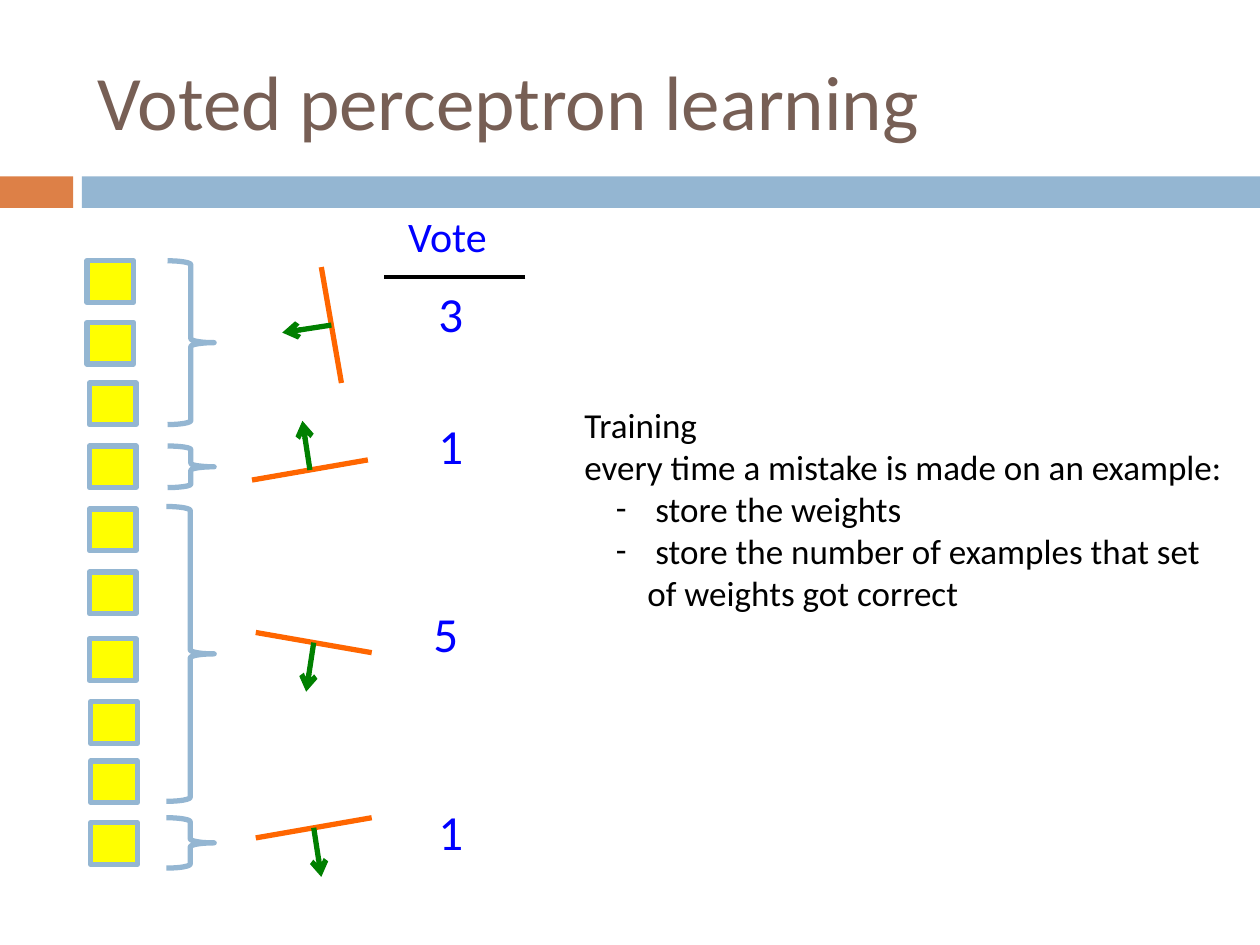
from lxml import etree
from pptx import Presentation
from pptx.dml.color import RGBColor
from pptx.enum.shapes import MSO_CONNECTOR, MSO_SHAPE
from pptx.enum.text import MSO_ANCHOR, PP_ALIGN
from pptx.oxml.ns import qn
from pptx.util import Inches, Pt

RECT, BRACE = MSO_SHAPE.RECTANGLE, MSO_SHAPE.RIGHT_BRACE
LINE = MSO_CONNECTOR.STRAIGHT
LEFT, MIDDLE = PP_ALIGN.LEFT, MSO_ANCHOR.MIDDLE

FONT = "Calibri"
BLUE, ORANGE, BROWN = "94B6D2", "DD8047", "775F55"
YELLOW, PLANE, GREEN = "FFFF00", "FF6600", "008000"
VOTE, BLACK = "0000FF", "000000"

# Content
TITLE = "Voted perceptron learning"
HEAD = "Vote"
NOTES = [
    ("Training", False),
    ("every time a mistake is made on an example:", False),
    (" store the weights", True),
    (" store the number of examples that set of weights got correct", True),
]
BANDS = [(0, 0.58, ORANGE), (0.65, 9.35, BLUE)]  # left, width, colour

# Training examples: left edge and tops of each run of squares
SIZE = (0.37, 0.33)
SQUARES = [
    (0.69, (2.07, 2.56)),
    (0.71, (3.04, 3.54, 4.04, 4.54, 5.07)),
    (0.72, (5.57, 6.04, 6.53)),
]

# Stored weights: brace box, plane ends, arrow tip, vote and its corner
WEIGHTS = [
    ((1.33, 2.07, 0.37, 1.30), (2.71, 3.04, 2.55, 2.12), (2.24, 2.64), "3", (3.38, 2.20)),
    ((1.33, 3.54, 0.37, 0.33), (2.00, 3.81, 2.92, 3.65), (2.40, 3.34), "1", (3.38, 3.25)),
    ((1.32, 4.02, 0.38, 2.34), (2.03, 5.02, 2.95, 5.18), (2.43, 5.49), "5", (3.34, 4.74)),
    ((1.32, 6.49, 0.38, 0.40), (2.95, 6.49, 2.03, 6.65), (2.55, 6.96), "1", (3.38, 6.31)),
]

prs = Presentation()
prs.slide_width, prs.slide_height = Inches(10), Inches(7.5)
slide = prs.slides.add_slide(prs.slide_layouts[5])
shapes = slide.shapes


def rgb(code):
    return RGBColor.from_string(code)


def inch(vals):
    return [Inches(v) for v in vals]


def style(para, size, color):
    for run in para.runs:
        run.font.name, run.font.size = FONT, Pt(size)
        run.font.color.rgb = rgb(color)


def block(kind, box, fill=None, line=None):
    shape = shapes.add_shape(kind, *inch(box))
    shape.shadow.inherit = False
    if fill:
        shape.fill.solid()
        shape.fill.fore_color.rgb = rgb(fill)
    else:
        shape.fill.background()
    if line:
        shape.line.color.rgb = rgb(line)
        shape.line.width = Pt(3)
    else:
        shape.line.fill.background()


def stroke(ends, color, width=3, arrow=False):
    link = shapes.add_connector(LINE, *inch(ends))
    link.line.color.rgb = rgb(color)
    link.line.width = Pt(width)
    if arrow:
        etree.SubElement(link.line._get_or_add_ln(), qn("a:tailEnd"), type="arrow")
    etree.SubElement(link._element.spPr, qn("a:effectLst"))


def label(text, box, size, color):
    frame = shapes.add_textbox(*inch(box)).text_frame
    frame.word_wrap = False
    frame.text = text
    style(frame.paragraphs[0], size, color)


# Title and bands
title = shapes.title
title.left, title.top, title.width, title.height = inch((0.67, 0.25, 8.92, 1.08))
title.text_frame.text = TITLE
title.text_frame.vertical_anchor = MIDDLE
title.text_frame.paragraphs[0].alignment = LEFT
style(title.text_frame.paragraphs[0], 44, BROWN)
for left, width, color in BANDS:
    block(RECT, (left, 1.4, width, 0.25), color)

# Examples
for left, tops in SQUARES:
    for top in tops:
        block(RECT, (left, top, *SIZE), YELLOW, BLUE)

# Weights: the arrow starts at the middle of its plane
for brace, plane, tip, vote, spot in WEIGHTS:
    block(BRACE, brace, line=BLUE)
    x1, y1, x2, y2 = plane
    stroke(plane, PLANE)
    stroke(((x1 + x2) / 2, (y1 + y2) / 2, *tip), GREEN, arrow=True)
    label(vote, (*spot, 0.42, 0.57), 28, VOTE)

# Vote heading with its rule
label(HEAD, (3.14, 1.62, 0.83, 0.5), 24, VOTE)
stroke((4.17, 2.2, 3.05, 2.2), BLACK, 2.25)

# Training notes
frame = shapes.add_textbox(*inch((4.54, 3.15, 5.26, 1.78))).text_frame
frame.word_wrap = True
for i, (text, dash) in enumerate(NOTES):
    para = frame.add_paragraph() if i else frame.paragraphs[0]
    para.text = text
    style(para, 20, BLACK)
    if dash:
        para.level = 1
        props = para._p.get_or_add_pPr()
        props.set("marL", str(Inches(0.5)))
        props.set("indent", str(Inches(-0.25)))
        etree.SubElement(props, qn("a:buFont"), typeface=FONT)
        etree.SubElement(props, qn("a:buChar"), char="-")

prs.save("out.pptx")
